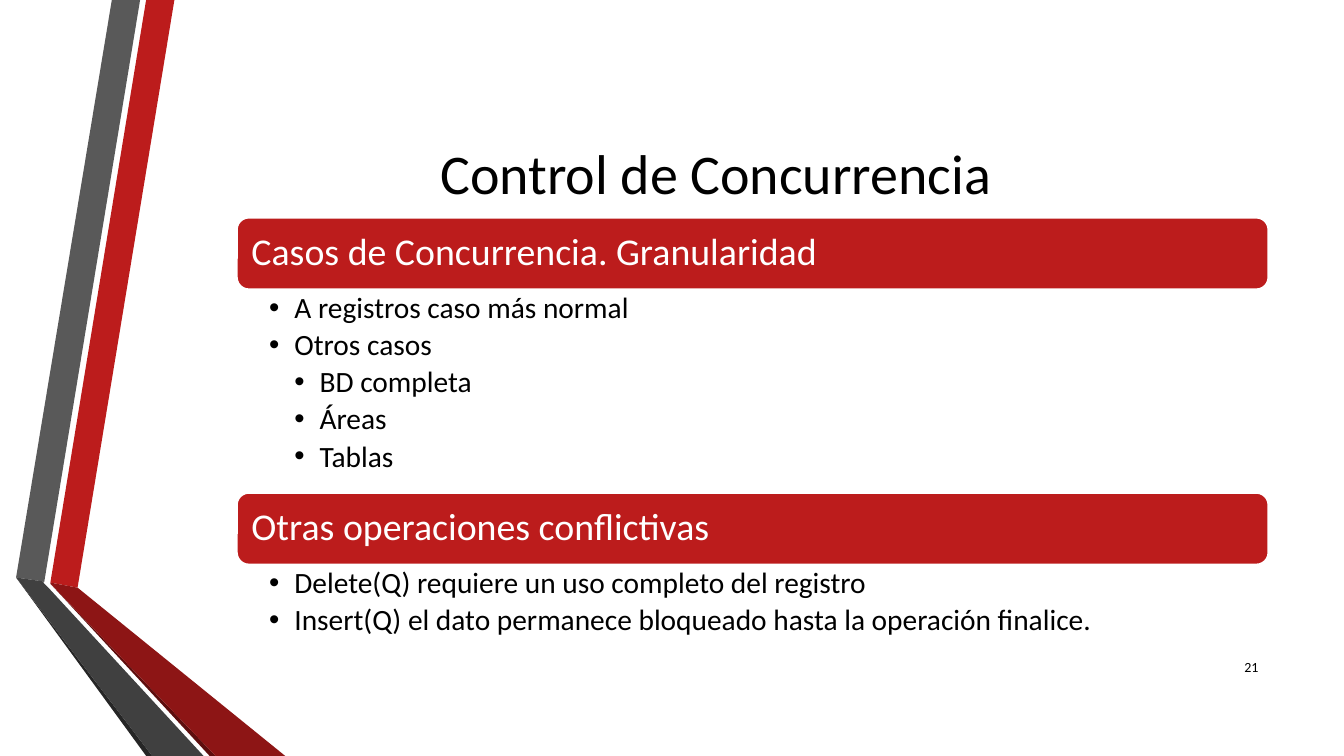
from dataclasses import dataclass

from lxml.etree import SubElement
from pptx import Presentation
from pptx.dml.color import RGBColor
from pptx.enum.shapes import MSO_SHAPE
from pptx.enum.text import MSO_ANCHOR, MSO_AUTO_SIZE, PP_ALIGN
from pptx.oxml.ns import qn
from pptx.util import Emu, Pt

PX = 9144  # EMU in one px, 100 px to the inch


@dataclass(frozen=True)
class Theme:
    font: str = "Calibri"
    title_size: int = 40
    heading_size: int = 27
    body_size: int = 21
    number_size: int = 10
    ink: str = "000000"
    paper: str = "FFFFFF"
    red: str = "BC1C1C"
    red_dark: str = "8D1515"
    red_edge: str = "5E0E0E"
    gray: str = "595959"
    gray_dark: str = "404040"
    gray_edge: str = "262626"


def px(length):
    return Emu(length * PX)


class SlideBuilder:
    def __init__(self, slide, theme):
        self.slide = slide
        self.theme = theme

    def place(self, shape, box):
        shape.left, shape.top, shape.width, shape.height = map(px, box)

    def paint(self, shape, color):
        shape.shadow.inherit = False
        shape.fill.solid()
        shape.fill.fore_color.rgb = RGBColor.from_string(color)

    def frame(self, shape, anchor, insets=(10, 5, 10, 5)):
        frame = shape.text_frame
        frame.word_wrap = True
        frame.auto_size = MSO_AUTO_SIZE.NONE
        frame.vertical_anchor = anchor
        (frame.margin_left, frame.margin_top,
         frame.margin_right, frame.margin_bottom) = map(px, insets)
        return frame

    def run(self, paragraph, text, size, color, align):
        paragraph.alignment = align
        run = paragraph.add_run()
        run.text = text
        run.font.name = self.theme.font
        run.font.size = Pt(size)
        run.font.color.rgb = RGBColor.from_string(color)

    def band(self, points, color):
        builder = self.slide.shapes.build_freeform(*points[0], scale=PX)
        builder.add_line_segments(points[1:], close=True)
        band = builder.convert_to_shape()
        self.paint(band, color)
        band.line.fill.background()

    def title(self, box, text):
        title = self.slide.shapes.title
        self.place(title, box)
        frame = self.frame(title, MSO_ANCHOR.MIDDLE)
        self.run(frame.paragraphs[0], text, self.theme.title_size,
                 self.theme.ink, PP_ALIGN.CENTER)

    def heading(self, box, text):
        bar = self.slide.shapes.add_shape(
            MSO_SHAPE.ROUNDED_RECTANGLE, *map(px, box))
        self.paint(bar, self.theme.red)
        bar.line.color.rgb = RGBColor.from_string(self.theme.paper)
        bar.line.width = Pt(1.25)
        frame = self.frame(bar, MSO_ANCHOR.MIDDLE, (11, 11, 11, 11))
        paragraph = frame.paragraphs[0]
        paragraph.line_spacing = 0.9
        self.run(paragraph, text, self.theme.heading_size,
                 self.theme.paper, PP_ALIGN.LEFT)

    def bullets(self, box, items):
        body = self.slide.shapes.add_textbox(*map(px, box))
        frame = self.frame(body, MSO_ANCHOR.TOP, (32, 4, 21, 4))
        for index, (level, text) in enumerate(items):
            paragraph = frame.add_paragraph() if index else frame.paragraphs[0]
            paragraph.level = level
            paragraph.line_spacing = 0.9
            paragraph.space_after = Pt(3.8)
            properties = paragraph._p.get_or_add_pPr()
            properties.set("marL", str(px(25 * level)))
            properties.set("indent", str(px(-25)))
            SubElement(properties, qn("a:buFont"), typeface="Arial")
            SubElement(properties, qn("a:buChar"), char="•")
            self.run(paragraph, text, self.theme.body_size,
                     self.theme.ink, PP_ALIGN.LEFT)

    def page_number(self, box, text):
        number = self.slide.shapes.add_textbox(*map(px, box))
        frame = self.frame(number, MSO_ANCHOR.MIDDLE)
        self.run(frame.paragraphs[0], text, self.theme.number_size,
                 self.theme.ink, PP_ALIGN.RIGHT)


def main():
    presentation = Presentation()
    presentation.slide_width, presentation.slide_height = px(1333), px(750)
    theme = Theme()
    slide = presentation.slides.add_slide(presentation.slide_layouts[5])
    builder = SlideBuilder(slide, theme)

    # Folded ribbons on the left
    ribbons = [
        (theme.red, [(50, 578), (77, 583), (173, 0), (145, 0)]),
        (theme.gray, [(139, 0), (111, 0), (16, 573), (44, 577)]),
        (theme.gray_edge, [(16, 573), (145, 750), (151, 750)]),
        (theme.red_edge, [(50, 579), (208, 750), (214, 750)]),
        (theme.red_dark, [(50, 579), (214, 750), (283, 750), (77, 583), (50, 578)]),
        (theme.gray_dark, [(202, 750), (48, 583), (43, 578), (44, 577),
                           (16, 573), (151, 750)]),
    ]
    for color, points in ribbons:
        builder.band(points, color)

    # Title
    builder.title((162, 75, 1096, 192), "Control de Concurrencia")

    # Sections, stacked: heading bar, then its bullets
    sections = [
        ("Casos de Concurrencia. Granularidad", 202, [
            (1, "A registros caso más normal"),
            (1, "Otros casos"),
            (2, "BD completa"),
            (2, "Áreas"),
            (2, "Tablas"),
        ]),
        ("Otras operaciones conflictivas", 79, [
            (1, "Delete(Q) requiere un uso completo del registro"),
            (1, "Insert(Q) el dato permanece bloqueado hasta la operación finalice."),
        ]),
    ]
    left, top, width, bar_height = 235, 216, 1023, 71
    for heading, body_height, items in sections:
        builder.heading((left, top, width, bar_height), heading)
        top += bar_height
        builder.bullets((left, top, width, body_height), items)
        top += body_height

    # Slide number
    builder.page_number((1198, 642, 60, 40), "21")

    presentation.save("out.pptx")


if __name__ == "__main__":
    main()
